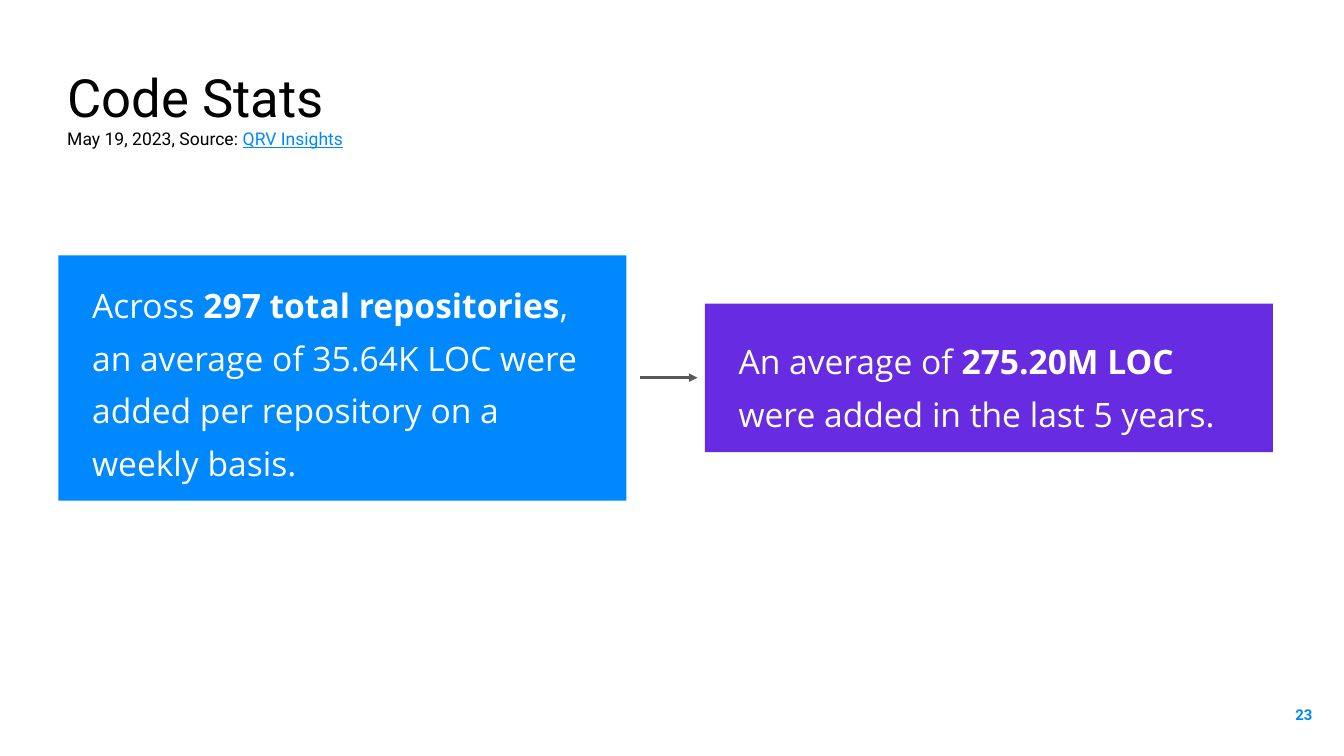
from dataclasses import dataclass

import pptx
import pptx.dml.color
import pptx.enum.shapes
import pptx.enum.text
import pptx.oxml.ns
import pptx.util
from lxml import etree

PX = 9144  # EMU per px, 100 px to the inch
MID_Y = 562  # the axis shared by both cards and the arrow
ANCHOR = pptx.enum.text.MSO_ANCHOR
ALIGN = pptx.enum.text.PP_ALIGN


@dataclass(frozen=True)
class Theme:
    blue: str = "0088FF"
    purple: str = "672CE2"
    grey: str = "595959"
    black: str = "000000"
    white: str = "FFFFFF"
    heading_font: str = "Roboto"
    body_font: str = "Open Sans"
    title_size: float = 56.4
    source_size: float = 18.8
    card_size: float = 36
    number_size: float = 16


@dataclass(frozen=True)
class Span:
    text: str
    font: str
    size: float
    color: str
    bold: bool = False
    underline: bool = False


@dataclass(frozen=True)
class Card:
    placeholder: int
    left: int
    height: int
    fill: str
    bottom_inset: int
    before: str
    strong: str
    after: str


T = Theme()
CARD_WIDTH = 845
CARDS = [
    Card(1, 87, 365, T.blue, 10, "Across ", "297 total repositories",
         ", an average of 35.64K LOC were added per repository on a weekly basis."),
    Card(2, 1049, 221, T.purple, 0, "An average of ", "275.20M LOC ",
         "were added in the last 5 years."),
]


def px(n: int) -> int:
    return pptx.util.Emu(n * PX)


def rgb(color: str):
    return pptx.dml.color.RGBColor.from_string(color)


def place(sp, left: int, top: int, width: int, height: int) -> None:
    sp.left, sp.top, sp.width, sp.height = map(px, (left, top, width, height))


def set_frame(tf, insets: tuple, anchor) -> None:
    tf.word_wrap = True
    tf.auto_size = pptx.enum.text.MSO_AUTO_SIZE.NONE
    tf.vertical_anchor = anchor
    tf.margin_left, tf.margin_top, tf.margin_right, tf.margin_bottom = map(px, insets)


def write(p, spans: list[Span], align=ALIGN.LEFT) -> None:
    p.alignment = align
    p.space_before = pptx.util.Pt(0)
    for span in spans:
        r = p.add_run()
        r.text = span.text
        r.font.name = span.font
        r.font.size = pptx.util.Pt(span.size)
        r.font.bold = span.bold
        r.font.underline = span.underline
        r.font.color.rgb = rgb(span.color)


def draw_card(s, card: Card) -> None:
    sp = s.placeholders[card.placeholder]
    place(sp, card.left, MID_Y - card.height // 2, CARD_WIDTH, card.height)
    sp.fill.solid()
    sp.fill.fore_color.rgb = rgb(card.fill)
    tf = sp.text_frame
    set_frame(tf, (50, 10, 50, card.bottom_inset), ANCHOR.MIDDLE)
    p = tf.paragraphs[0]
    pPr = p._p.get_or_add_pPr()
    pPr.set("marL", "0")
    pPr.set("indent", "0")
    etree.SubElement(pPr, pptx.oxml.ns.qn("a:buNone"))
    p.line_spacing = 1.3
    parts = ((card.before, False), (card.strong, True), (card.after, False))
    write(p, [Span(text, T.body_font, T.card_size, T.white, bold) for text, bold in parts])


def draw_arrow(s, start: int, end: int, y: int) -> None:
    line = s.shapes.add_connector(
        pptx.enum.shapes.MSO_CONNECTOR.STRAIGHT, px(start), px(y), px(end), px(y))
    line.line.color.rgb = rgb(T.grey)
    line.line.width = pptx.util.Pt(3)
    qn = pptx.oxml.ns.qn
    etree.SubElement(line.line._get_or_add_ln(), qn("a:tailEnd"), type="triangle")
    etree.SubElement(line._element.spPr, qn("a:effectLst"))


def main() -> None:
    prs = pptx.Presentation()
    prs.slide_width, prs.slide_height = px(2000), px(1125)
    s = prs.slides.add_slide(prs.slide_layouts.get_by_name("Two Content"))

    # Title and source line
    title = s.shapes.title
    place(title, 100, 97, 1864, 125)
    tf = title.text_frame
    set_frame(tf, (0, 0, 0, 0), ANCHOR.TOP)
    write(tf.paragraphs[0], [Span("Code Stats", T.heading_font, T.title_size, T.black)])
    write(tf.add_paragraph(), [
        Span("May 19, 2023, Source: ", T.heading_font, T.source_size, T.black),
        Span("QRV Insights", T.heading_font, T.source_size, T.blue, underline=True),
    ])

    # Two cards joined by an arrow
    for card in CARDS:
        draw_card(s, card)
    draw_arrow(s, 952, 1038, MID_Y)

    # Page number
    number = s.shapes.add_textbox(px(1853), px(1020), px(120), px(86))
    set_frame(number.text_frame, (20, 20, 20, 20), ANCHOR.MIDDLE)
    write(number.text_frame.paragraphs[0],
          [Span("23", T.heading_font, T.number_size, T.blue, bold=True)], ALIGN.RIGHT)

    prs.save("out.pptx")


if __name__ == "__main__":
    main()
